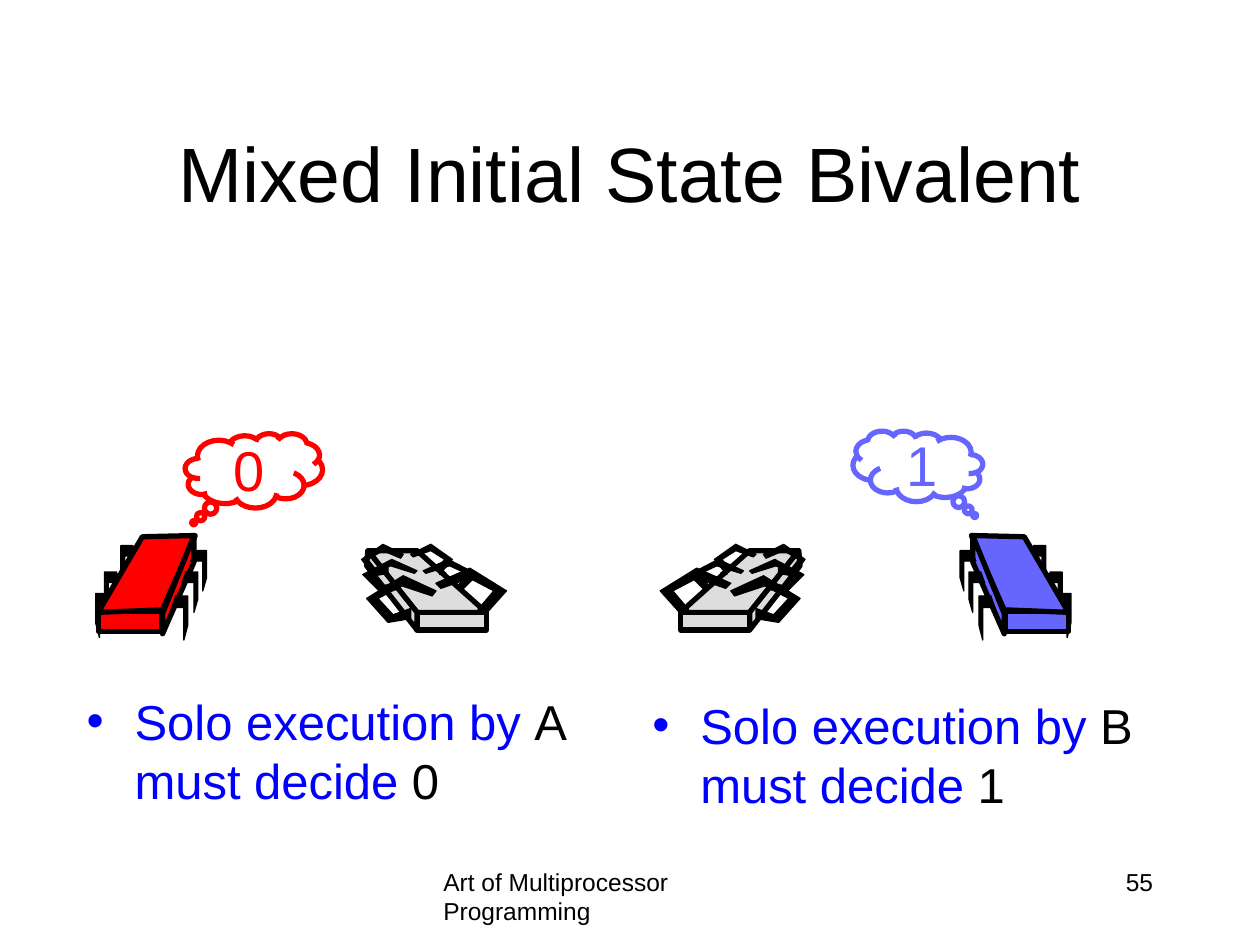
from lxml.etree import SubElement
from pptx import Presentation
from pptx.dml.color import RGBColor
from pptx.enum.shapes import MSO_SHAPE as Shape
from pptx.enum.text import MSO_ANCHOR as Anchor, PP_ALIGN as Align
from pptx.oxml.ns import qn
from pptx.util import Inches, Pt

BLACK, BLUE, GRAY = "000000", "0000FF", "DDDDDD"
RED, VIOLET = "FF0000", "6666FF"
AXIS = 4.63  # the right half mirrors the left half about this x

TITLE = "Mixed Initial State Bivalent"
FOOTER = [
    ("Art of Multiprocessor Programming", (3.42, 6.83, 3.17, 0.5), Align.LEFT),
    ("55", (7.17, 6.83, 2.08, 0.5), Align.RIGHT),
]
CLAIMS = [
    ("A", "0", (0.59, 5.44, 4.33, 1.96)),
    ("B", "1", (5.08, 5.47, 4.17, 1.91)),
]
BUBBLES = [
    ("0", (1.47, 3.44, 1.09, 0.59), RED, False),
    ("1", (6.77, 3.42, 1.03, 0.56), VIOLET, True),
]


def leg(x, y, side, high=0.32):
    """Outline of a standing leg: outer x, top y, 1 or -1 towards the body."""
    steps = [(0.1, 0), (0, 0), (0, 0.67), (0.03, 1), (0.03, 0.26), (0.13, 0.26)]
    return "leg", [(x + side * dx, y + high * dy) for dx, dy in steps]


# Parts from back to front: box = front face, body = coloured face, leg = black
AWAKE = [
    ("box", (0.78, 4.85, 0.5, 0.16)),
    leg(0.76, 4.71, 1, 0.35),
    leg(0.83, 4.54, 1),
    leg(0.96, 4.33, 1),
    ("body", [(0.78, 4.86), (1.29, 4.84), (1.55, 4.25), (1.13, 4.26)]),
    ("body", [(1.54, 4.25), (1.54, 4.46), (1.29, 5.03), (1.29, 4.87)]),
    leg(1.49, 4.73, -1, 0.35),
    leg(1.57, 4.54, -1),
    leg(1.64, 4.37, -1),
]
ASLEEP = [
    ("body", [(2.92, 4.37), (3.31, 4.86), (3.86, 4.86), (3.31, 4.37)]),
    ("box", (3.31, 4.86, 0.55, 0.14)),
    ("body", [(2.92, 4.37), (2.91, 4.49), (3.31, 5), (3.31, 4.86)]),
    ("leg", [(3.26, 4.83), (3.26, 4.91), (3.08, 4.94), (2.91, 4.75),
             (3.2, 4.57), (3.46, 4.69), (3.43, 4.73), (3.19, 4.65),
             (3, 4.75), (3.12, 4.88), (3.26, 4.83)]),
    ("leg", [(3.15, 4.62), (3.16, 4.68), (3.01, 4.69), (2.88, 4.56),
             (3.11, 4.44), (3.31, 4.53), (3.29, 4.55), (3.1, 4.49),
             (2.96, 4.56), (3.04, 4.65), (3.15, 4.62)]),
    ("leg", [(3.08, 4.5), (3.08, 4.55), (2.97, 4.57), (2.87, 4.44),
             (3.04, 4.32), (3.2, 4.4), (3.18, 4.43), (3.04, 4.37),
             (2.92, 4.44), (2.99, 4.53), (3.08, 4.5)]),
    ("leg", [(3.61, 4.62), (3.63, 4.66), (3.66, 4.69), (3.79, 4.56),
             (3.56, 4.44), (3.36, 4.53), (3.38, 4.55), (3.57, 4.49),
             (3.72, 4.56), (3.63, 4.65), (3.61, 4.62)]),
    ("leg", [(3.46, 4.49), (3.54, 4.55), (3.49, 4.56), (3.59, 4.44),
             (3.42, 4.32), (3.26, 4.4), (3.28, 4.42), (3.42, 4.37),
             (3.53, 4.44), (3.46, 4.53), (3.46, 4.49)]),
    ("leg", [(3.82, 4.83), (3.8, 4.82), (3.79, 4.86), (3.85, 4.88),
             (4.02, 4.69), (3.73, 4.51), (3.46, 4.63), (3.5, 4.67),
             (3.73, 4.59), (3.92, 4.69), (3.81, 4.82), (3.82, 4.81),
             (3.79, 4.81), (3.82, 4.83)]),
]
CHIPS = [(AWAKE, RED, False), (ASLEEP, GRAY, False),
         (AWAKE, VIOLET, True), (ASLEEP, GRAY, True)]


def color(code):
    return RGBColor.from_string(code)


def style(font, size, code):
    font.name, font.size = "Arial", Pt(size)
    font.color.rgb = color(code)


def paint(shape, fill, line, width):
    shape.shadow.inherit = False
    if fill:
        shape.fill.solid()
        shape.fill.fore_color.rgb = color(fill)
    else:
        shape.fill.background()
    shape.line.color.rgb = color(line)
    shape.line.width = Pt(width)


def add_text(slide, at):
    frame = slide.shapes.add_textbox(*map(Inches, at)).text_frame
    frame.word_wrap = True
    return frame.paragraphs[0]


def add_title(slide):
    title = slide.shapes.title
    title.left, title.top, title.width, title.height = map(
        Inches, (0.75, 0.74, 8.5, 1.25))
    title.text_frame.text = TITLE
    title.text_frame.vertical_anchor = Anchor.MIDDLE
    para = title.text_frame.paragraphs[0]
    para.alignment = Align.CENTER
    style(para.font, 44, BLACK)


def add_claim(slide, who, value, at):
    para = add_text(slide, at)
    props = para._p.get_or_add_pPr()
    props.set("marL", str(Inches(0.38)))
    props.set("indent", str(-Inches(0.38)))
    tint = SubElement(props, qn("a:buClr"))
    SubElement(tint, qn("a:srgbClr")).set("val", BLUE)
    SubElement(props, qn("a:buFont")).set("typeface", "Arial")
    SubElement(props, qn("a:buChar")).set("char", "•")
    for text, code in [("Solo execution by ", BLUE), (who, BLACK),
                       (" must decide ", BLUE), (value, BLACK)]:
        run = para.add_run()
        run.text = text
        style(run.font, 28, code)


def add_bubble(slide, text, at, code, flip):
    cloud = slide.shapes.add_shape(Shape.CLOUD_CALLOUT, *map(Inches, at))
    cloud.adjustments[0], cloud.adjustments[1] = -0.438, 0.7
    if flip:
        cloud._element.spPr.xfrm.set("flipH", "1")
    paint(cloud, None, code, 3)
    cloud.text_frame.text = text
    cloud.text_frame.vertical_anchor = Anchor.MIDDLE
    para = cloud.text_frame.paragraphs[0]
    para.alignment = Align.CENTER
    style(para.font, 32, code)


def add_chip(slide, parts, code, flip):
    shapes = slide.shapes.add_group_shape().shapes
    for kind, data in parts:
        if kind == "box":
            x, y, wide, high = data
            if flip:
                x = 2 * AXIS - x - wide
            part = shapes.add_shape(
                Shape.RECTANGLE, *map(Inches, (x, y, wide, high)))
        else:
            dots = [(Inches(2 * AXIS - x if flip else x), Inches(y))
                    for x, y in data]
            path = shapes.build_freeform(*dots[0])
            path.add_line_segments(dots[1:], close=kind == "body")
            part = path.convert_to_shape()
        if kind == "leg":
            paint(part, BLACK, BLACK, 0.75)
        else:
            paint(part, code, BLACK, 3)


def main():
    deck = Presentation()
    deck.slide_width, deck.slide_height = Inches(10), Inches(7.5)
    slide = deck.slides.add_slide(deck.slide_layouts[5])
    add_title(slide)
    for text, at, align in FOOTER:
        para = add_text(slide, at)
        para.text, para.alignment = text, align
        style(para.font, 14, BLACK)
    for claim in CLAIMS:
        add_claim(slide, *claim)
    for chip in CHIPS:
        add_chip(slide, *chip)
    for bubble in BUBBLES:
        add_bubble(slide, *bubble)
    deck.save("out.pptx")


if __name__ == "__main__":
    main()
